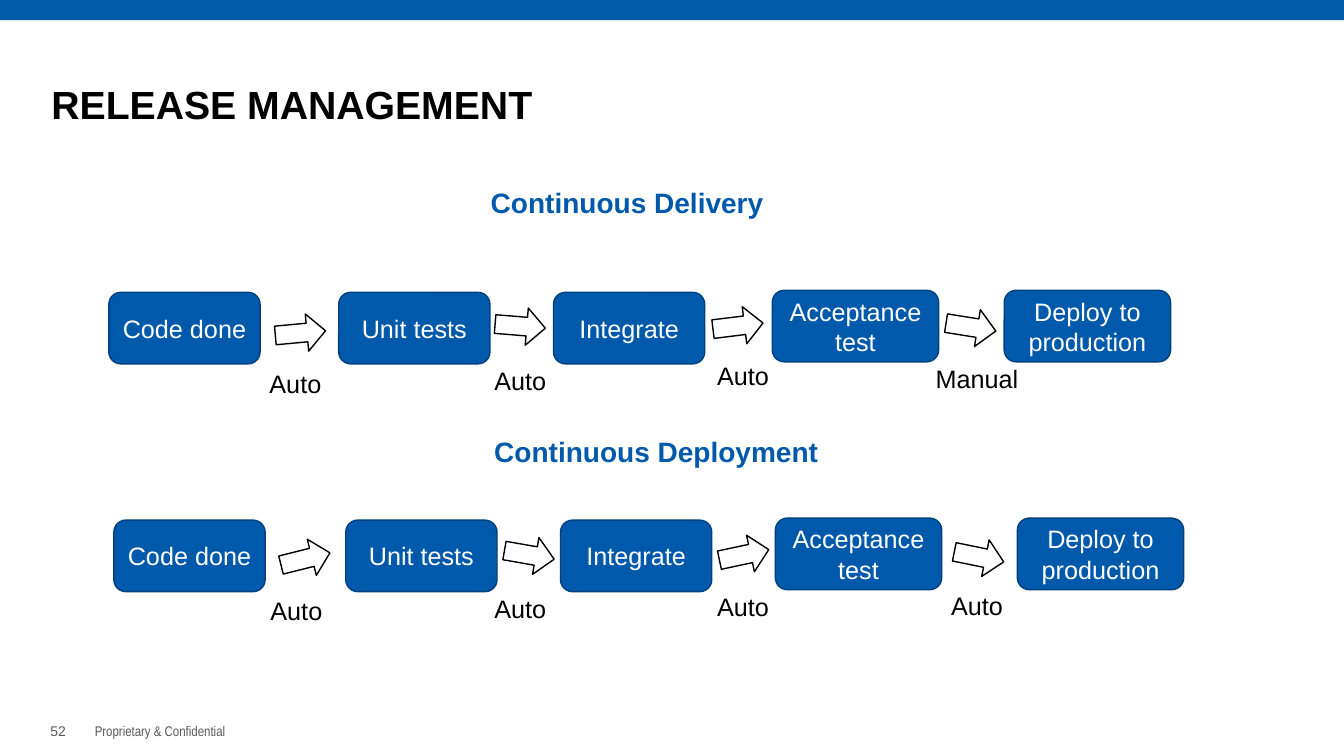
from collections import namedtuple

from pptx import Presentation
from pptx.dml.color import RGBColor as RGB
from pptx.enum.shapes import MSO_SHAPE as Kind
from pptx.enum.text import MSO_ANCHOR as Anchor, PP_ALIGN as Align
from pptx.util import Inches, Pt

Box = namedtuple("Box", "x y w h")
Link = namedtuple("Link", "label x y turn label_x label_y")


class Theme:
    bar = RGB.from_string("005AAA")
    blue = RGB.from_string("0059AB")
    edge = RGB.from_string("00407C")
    grey = RGB.from_string("595959")
    black = RGB(0, 0, 0)
    white = RGB(255, 255, 255)
    title = dict(name="Arial", size=Pt(28), bold=True, color=black)
    head = dict(name="Arial", size=Pt(20), bold=True, color=blue)
    step = dict(name="Arial", size=Pt(18), color=white)
    label = dict(name="Arial", size=Pt(18), color=black)
    page = dict(name="Arial", size=Pt(10), color=grey)
    note = dict(name="Arial Narrow", size=Pt(10), color=grey)


STEPS = ["Code done", "Unit tests", "Integrate", "Acceptance test",
         "Deploy to production"]
FLOWS = [
    dict(box=Box(1.08, 1.62, 10.53, 2.39), lane=1.26,
         head="Continuous Delivery", spot=Box(3.78, 0, 2.72, 0.82),
         lefts=[0, 2.28, 4.41, 6.58, 8.88],
         links=[Link("Auto", 1.65, 0.24, -5.3, 1.27, 0.76),
                Link("Auto", 3.83, 0.17, 4.7, 3.5, 0.73),
                Link("Auto", 5.99, 0.17, -7, 5.71, 0.68),
                Link("Manual", 8.3, 0.18, 9.1, 8.03, 0.71)]),
    dict(box=Box(1.13, 4.15, 10.61, 2.11), lane=0.99,
         head="Continuous Deployment", spot=Box(3.65, 0, 3.46, 0.7),
         lefts=[0, 2.3, 4.43, 6.56, 8.96],
         links=[Link("Auto", 1.65, 0.22, -14, 1.23, 0.75),
                Link("Auto", 3.87, 0.18, 9.9, 3.45, 0.73),
                Link("Auto", 6, 0.18, -12.1, 5.66, 0.71),
                Link("Auto", 8.33, 0.2, 11.5, 7.98, 0.7)]),
]


def place(box):
    return [Inches(side) for side in box]


def write(shape, text, style, align=Align.LEFT, anchor=Anchor.TOP,
          inset=0.1, edge=0.05, lead=None):
    """Fill a shape with one formatted paragraph."""
    frame = shape.text_frame
    form = dict(word_wrap=True, vertical_anchor=anchor,
                margin_left=Inches(inset), margin_right=Inches(inset),
                margin_top=Inches(edge), margin_bottom=Inches(edge))
    for key, value in form.items():
        setattr(frame, key, value)
    para = frame.paragraphs[0]
    para.alignment = align
    if lead:
        para.line_spacing = lead
    run = para.add_run()
    run.text = text
    for key, value in style.items():
        if key == "color":
            run.font.color.rgb = value
        else:
            setattr(run.font, key, value)


def add_text(slide, box, text, style, **form):
    write(slide.shapes.add_textbox(*place(box)), text, style, **form)


def add_shape(slide, kind, box, fill, line=None):
    shape = slide.shapes.add_shape(kind, *place(box))
    shape.shadow.inherit = False
    shape.fill.solid()
    shape.fill.fore_color.rgb = fill
    if line is None:
        shape.line.fill.background()
    else:
        shape.line.color.rgb = line
        shape.line.width = Pt(1)
    return shape


def add_frame(slide, box):
    """Add the top bar, the page number and the footer note."""
    add_shape(slide, Kind.RECTANGLE, Box(box.x, box.y, box.w, 0.2), Theme.bar)
    base = box.y + box.h
    add_text(slide, Box(box.x + 0.4, base - 0.52, 0.49, 0.4), "52",
             Theme.page, anchor=Anchor.BOTTOM)
    add_text(slide, Box(box.x + 0.89, base - 0.38, 2.48, 0.2),
             "Proprietary & Confidential", Theme.note, inset=0.05)


def add_title(slide, box, text):
    title = slide.shapes.title
    title.left, title.top, title.width, title.height = place(box)
    write(title, text, Theme.title, anchor=Anchor.MIDDLE, inset=0, lead=0.9)


def add_step(slide, x, y, text):
    """Add a step; the long names get a wider box set slightly higher."""
    wide = len(text) > 10
    box = Box(x, y if wide else y + 0.02, 1.65 if wide else 1.5, 0.71)
    shape = add_shape(slide, Kind.ROUNDED_RECTANGLE, box,
                      Theme.blue, Theme.edge)
    write(shape, text, Theme.step, align=Align.CENTER, anchor=Anchor.MIDDLE)


def add_link(slide, x, y, link):
    """Add a tilted arrow and the label below it."""
    arrow = add_shape(slide, Kind.RIGHT_ARROW,
                      Box(x + link.x, y + link.y, 0.5, 0.37),
                      Theme.white, Theme.black)
    arrow.rotation = link.turn
    add_text(slide, Box(x + link.label_x, y + link.label_y, 1.16, 0.37),
             link.label, Theme.label, align=Align.CENTER, lead=0.9)


def add_flow(slide, box, lane, head, spot, lefts, links):
    add_text(slide, Box(box.x + spot.x, box.y + spot.y, spot.w, spot.h),
             head, Theme.head, align=Align.CENTER, anchor=Anchor.MIDDLE,
             inset=0, lead=0.9)
    top = box.y + lane
    for left, text in zip(lefts, STEPS):
        add_step(slide, box.x + left, top, text)
    for link in links:
        add_link(slide, box.x, top, link)


def main():
    deck = Presentation()
    deck.slide_width, deck.slide_height = Inches(13.33), Inches(7.5)
    slide = deck.slides.add_slide(deck.slide_layouts[5])
    add_frame(slide, Box(0, 0, 13.33, 7.5))
    add_title(slide, Box(0.51, 0.33, 10.24, 1.45), "RELEASE MANAGEMENT")
    for flow in FLOWS:
        add_flow(slide, **flow)
    deck.save("out.pptx")


if __name__ == "__main__":
    main()
